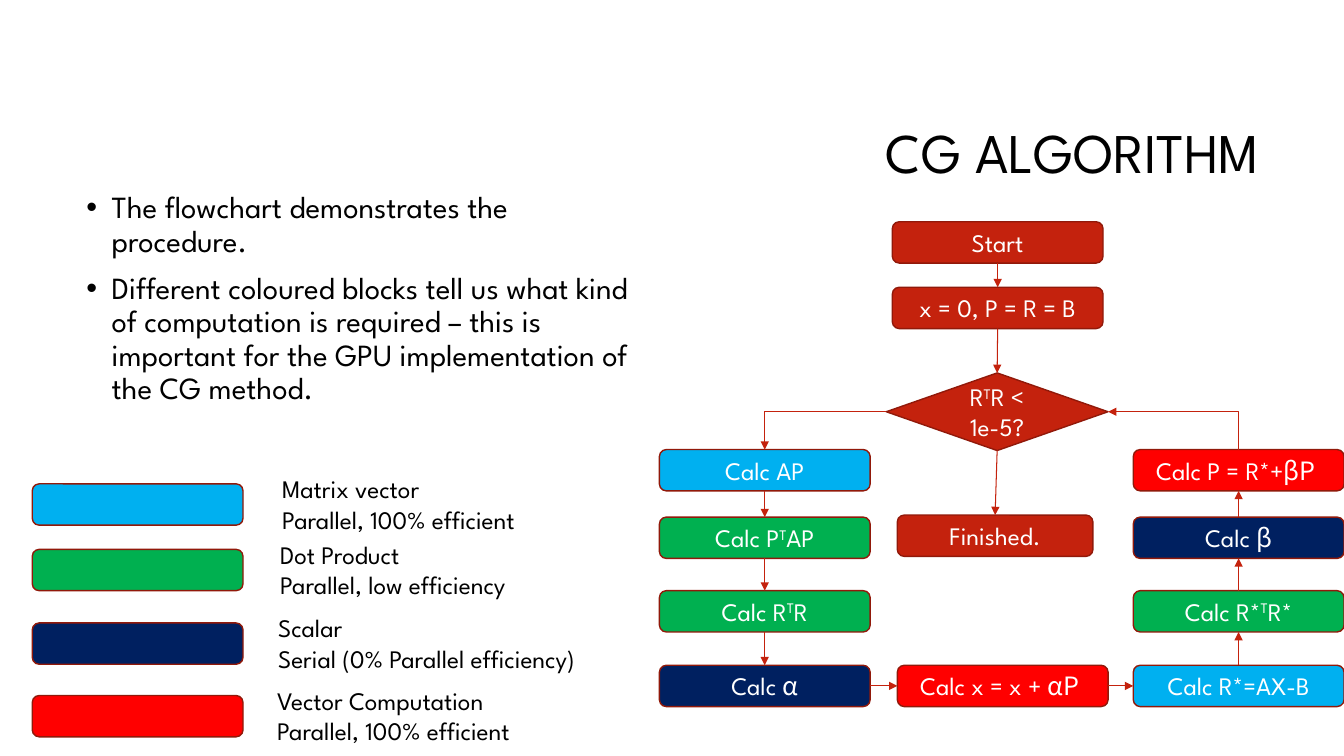
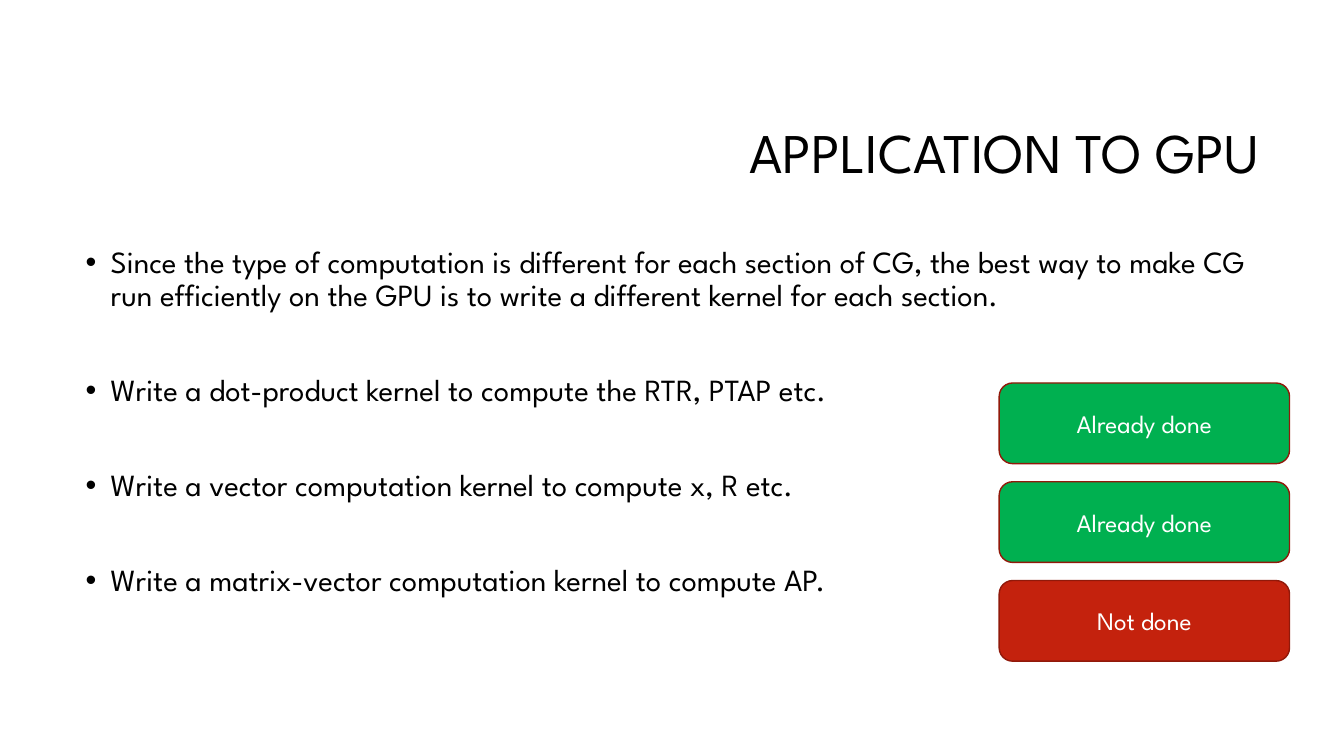
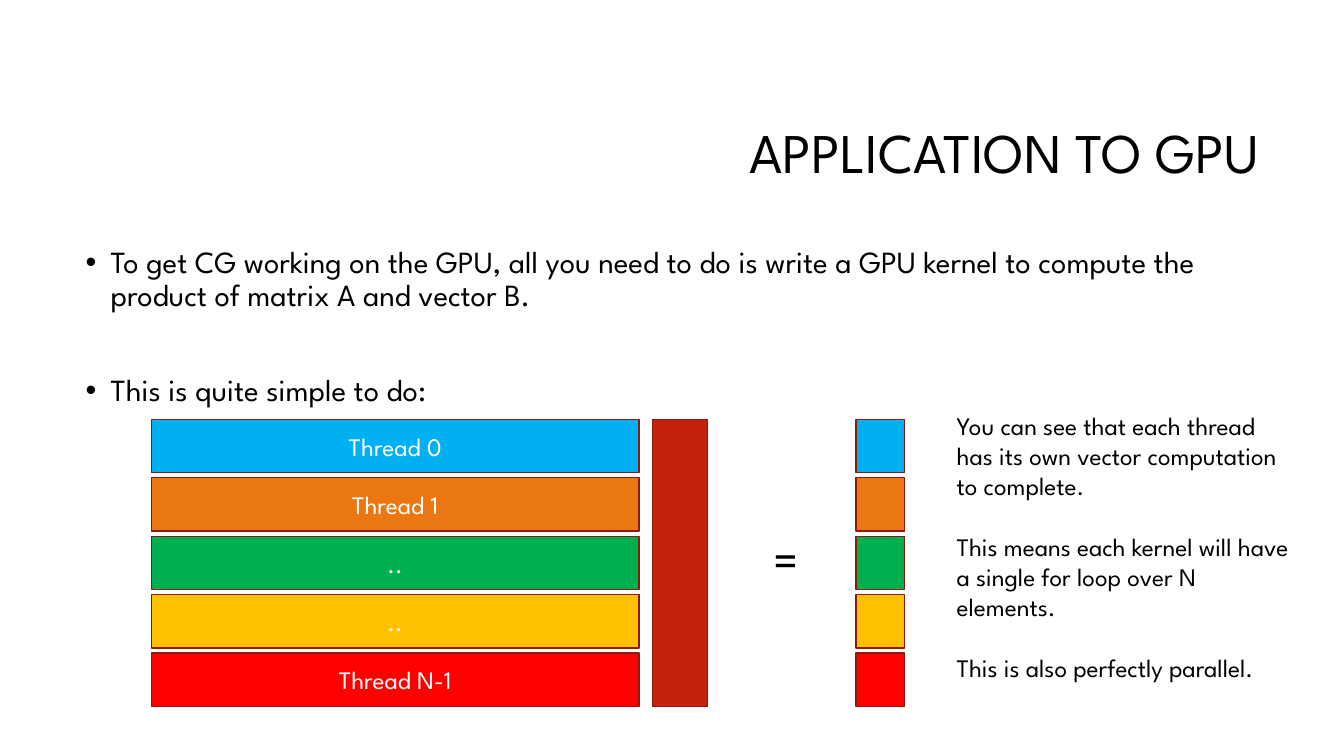
from dataclasses import dataclass, field
from typing import NamedTuple

from lxml import etree
from pptx import Presentation
from pptx.dml.color import RGBColor
from pptx.enum.shapes import MSO_CONNECTOR, MSO_SHAPE
from pptx.enum.text import MSO_ANCHOR, MSO_AUTO_SIZE, PP_ALIGN
from pptx.oxml.ns import qn
from pptx.util import Inches, Pt

ROUNDED, RECT, DIAMOND = MSO_SHAPE.ROUNDED_RECTANGLE, MSO_SHAPE.RECTANGLE, MSO_SHAPE.DIAMOND
STRAIGHT, ELBOW = MSO_CONNECTOR.STRAIGHT, MSO_CONNECTOR.ELBOW
LEFT, CENTER, RIGHT = PP_ALIGN.LEFT, PP_ALIGN.CENTER, PP_ALIGN.RIGHT
TOP, MIDDLE = MSO_ANCHOR.TOP, MSO_ANCHOR.MIDDLE
SITE_TOP, SITE_LEFT, SITE_BOTTOM, SITE_RIGHT = range(4)
BLANK_LAYOUT = 6


@dataclass(frozen=True)
class Theme:
    font: str = "League Spartan"
    greek_font: str = "Noto Sans CJK KR"
    ink: str = "000000"
    paper: str = "FFFFFF"
    accent: str = "C4220D"
    outline: str = "91190A"
    blue: str = "00B0F0"
    green: str = "00B050"
    navy: str = "002060"
    red: str = "FF0000"
    orange: str = "EB7712"
    yellow: str = "FFC000"
    title_size: float = 40
    symbol_size: float = 36
    body_size: float = 22
    label_size: float = 18
    outline_width: float = 1
    arrow_width: float = 0.75
    tight: float = 0.9
    bullet_gap: float = 10
    wide_bullet_gap: float = 44
    note_gap: float = 21.6


THEME = Theme()
CELL = Inches(1)
COLUMNS, ROWS = 13.33, 7.5


class Box(NamedTuple):
    col: float
    row: float
    cols: float
    rows: float

    def emu(self) -> list[int]:
        return [round(length * CELL) for length in self]


class Span(NamedTuple):
    text: str
    font: str = THEME.font
    raised: bool = False


class Style(NamedTuple):
    size: float
    color: str = THEME.ink
    align: int = LEFT
    spacing: float = 1
    gap: float = 0
    first_gap: float = 0
    bullet: bool = False


@dataclass(frozen=True)
class Block:
    box: Box
    fill: str
    spans: list[Span] = field(default_factory=list)
    outline: int = ROUNDED


class Arrow(NamedTuple):
    start: str
    start_site: int
    end: str
    end_site: int
    bent: bool = False
    reverse: bool = False


class LegendEntry(NamedTuple):
    row: float
    label_col: float
    fill: str
    lines: list[str]


TITLE = Style(THEME.title_size, align=RIGHT, spacing=THEME.tight)
BULLETS = Style(THEME.body_size, spacing=THEME.tight, gap=THEME.bullet_gap,
                first_gap=THEME.bullet_gap, bullet=True)
WIDE_BULLETS = BULLETS._replace(gap=THEME.wide_bullet_gap)
BLOCK_LABEL = Style(THEME.label_size, THEME.paper, CENTER)
LABEL = Style(THEME.label_size)
NOTE = LABEL._replace(gap=THEME.note_gap)
SYMBOL = Style(THEME.symbol_size)

TITLE_BOX = Box(3.17, 0.84, 9.42, 1.41)
BODY_BOX = Box(0.75, 2.4, 11.83, 4.4)
STEP_COLS, STEP_ROWS = 2.09, 0.41
LEFT_COL, MIDDLE_COL, RIGHT_COL = 6.54, 8.85, 11.24
LOOP_ROWS = (4.46, 5.13, 5.86, 6.6)


def plain(text: str) -> list[Span]:
    return [Span(text)]


def with_power(before: str, after: str) -> list[Span]:
    return [Span(before), Span("T", raised=True), Span(after)]


def with_greek(before: str, greek: str) -> list[Span]:
    return [Span(before), Span(greek, THEME.greek_font)]


def step(col: float, row: float, fill: str, spans: list[Span]) -> Block:
    return Block(Box(col, row, STEP_COLS, STEP_ROWS), fill, spans)


def rgb(color: str) -> RGBColor:
    return RGBColor.from_string(color)


def write(frame, paragraphs: list[list[Span]], style: Style) -> None:
    for index, spans in enumerate(paragraphs):
        paragraph = frame.add_paragraph() if index else frame.paragraphs[0]
        paragraph.alignment = style.align
        paragraph.line_spacing = style.spacing
        paragraph.space_before = Pt(style.gap if index else style.first_gap)
        if style.bullet:
            properties = paragraph._p.get_or_add_pPr()
            properties.set("marL", str(Inches(0.25)))
            properties.set("indent", str(-Inches(0.25)))
            etree.SubElement(properties, qn("a:buFont")).set("typeface", "Arial")
            etree.SubElement(properties, qn("a:buChar")).set("char", "•")
        for span in spans:
            run = paragraph.add_run()
            run.text = span.text
            run.font.name = span.font
            run.font.size = Pt(style.size)
            run.font.color.rgb = rgb(style.color)
            if span.raised:
                run._r.get_or_add_rPr().set("baseline", "30000")


def add_text(slide, box: Box, lines: list[str], style: Style,
             anchor: int = TOP, grow: bool = False) -> None:
    frame = slide.shapes.add_textbox(*box.emu()).text_frame
    frame.word_wrap = True
    frame.vertical_anchor = anchor
    if grow:
        frame.auto_size = MSO_AUTO_SIZE.SHAPE_TO_FIT_TEXT
    write(frame, [plain(line) for line in lines], style)


def add_block(slide, block: Block):
    shape = slide.shapes.add_shape(block.outline, *block.box.emu())
    shape.shadow.inherit = False
    shape.fill.solid()
    shape.fill.fore_color.rgb = rgb(block.fill)
    shape.line.color.rgb = rgb(THEME.outline)
    shape.line.width = Pt(THEME.outline_width)
    if block.spans:
        shape.text_frame.vertical_anchor = MIDDLE
        write(shape.text_frame, [block.spans], BLOCK_LABEL)
    return shape


def add_arrow(slide, arrow: Arrow, steps: dict) -> None:
    connector = slide.shapes.add_connector(ELBOW if arrow.bent else STRAIGHT, 0, 0, 0, 0)
    connector.begin_connect(steps[arrow.start], arrow.start_site)
    connector.end_connect(steps[arrow.end], arrow.end_site)
    connector.line.color.rgb = rgb(THEME.accent)
    connector.line.width = Pt(THEME.arrow_width)
    properties = connector._element.spPr
    if arrow.bent:
        properties.find(qn("a:prstGeom")).set("prst", "bentConnector2")
    tip = "a:headEnd" if arrow.reverse else "a:tailEnd"
    etree.SubElement(properties.find(qn("a:ln")), qn(tip)).set("type", "triangle")
    etree.SubElement(properties, qn("a:effectLst"))


def add_slide(deck, title: str, bullets: list[str], box: Box = BODY_BOX,
              style: Style = WIDE_BULLETS):
    slide = deck.slides.add_slide(deck.slide_layouts[BLANK_LAYOUT])
    slide.background.fill.solid()
    slide.background.fill.fore_color.rgb = rgb(THEME.paper)
    add_text(slide, TITLE_BOX, [title], TITLE, MIDDLE)
    add_text(slide, box, bullets, style)
    return slide


def build_algorithm(deck) -> None:
    slide = add_slide(deck, "CG ALGORITHM", [
        "The flowchart demonstrates the procedure.",
        "Different coloured blocks tell us what kind of computation is required – this is "
        "important for the GPU implementation of the CG method.",
    ], Box(0.76, 1.86, 5.7, 4.44), BULLETS)

    first, second, third, last = LOOP_ROWS
    blocks = {
        "start": step(MIDDLE_COL, 2.2, THEME.accent, plain("Start")),
        "setup": step(MIDDLE_COL, 2.85, THEME.accent, plain("x = 0, P = R = B")),
        "test": Block(Box(8.79, 3.7, 2.2, 0.77), THEME.accent,
                      with_power("R", "R < 1e-5?"), DIAMOND),
        "ap": step(LEFT_COL, first, THEME.blue, plain("Calc AP")),
        "ptap": step(LEFT_COL, second, THEME.green, with_power("Calc P", "AP")),
        "rtr": step(LEFT_COL, third, THEME.green, with_power("Calc R", "R")),
        "alpha": step(LEFT_COL, last, THEME.navy, with_greek("Calc ", "α")),
        "x": step(8.9, last, THEME.red, with_greek("Calc x = x + ", "αP ")),
        "residual": step(RIGHT_COL, last, THEME.blue, plain("Calc R*=AX-B")),
        "new_rtr": step(RIGHT_COL, third, THEME.green, with_power("Calc R*", "R*")),
        "beta": step(RIGHT_COL, second, THEME.navy, with_greek("Calc ", "β")),
        "p": step(RIGHT_COL, first, THEME.red, with_greek("Calc P = R*+", "βP ")),
        "finish": Block(Box(8.9, 5.11, 1.94, STEP_ROWS), THEME.accent, plain("Finished.")),
    }
    steps = {key: add_block(slide, block) for key, block in blocks.items()}

    down = [("start", "setup"), ("setup", "test"), ("test", "finish"),
            ("ap", "ptap"), ("ptap", "rtr"), ("rtr", "alpha")]
    across = [("alpha", "x"), ("x", "residual")]
    up = [("residual", "new_rtr"), ("new_rtr", "beta"), ("beta", "p")]
    arrows = [Arrow("test", SITE_LEFT, "ap", SITE_TOP, bent=True),
              Arrow("test", SITE_RIGHT, "p", SITE_TOP, bent=True, reverse=True)]
    for pairs, leave, enter in ((down, SITE_BOTTOM, SITE_TOP),
                                (across, SITE_RIGHT, SITE_LEFT),
                                (up, SITE_TOP, SITE_BOTTOM)):
        arrows += [Arrow(start, leave, end, enter) for start, end in pairs]
    for arrow in arrows:
        add_arrow(slide, arrow, steps)

    legend = [
        LegendEntry(4.8, 2.7, THEME.blue, ["Matrix vector", "Parallel, 100% efficient"]),
        LegendEntry(5.45, 2.68, THEME.green, ["Dot Product", "Parallel, low efficiency"]),
        LegendEntry(6.18, 2.66, THEME.navy, ["Scalar", "Serial (0% Parallel efficiency)"]),
        LegendEntry(6.9, 2.65, THEME.red, ["Vector Computation", "Parallel, 100% efficient"]),
    ]
    for entry in legend:
        add_block(slide, step(0.32, entry.row, entry.fill, []))
        add_text(slide, Box(entry.label_col, entry.row - 0.15, 3.8, 0.71),
                 entry.lines, LABEL, grow=True)


def build_kernels(deck) -> None:
    slide = add_slide(deck, "APPLICATION TO GPU", [
        "Since the type of computation is different for each section of CG, the best way to "
        "make CG run efficiently on the GPU is to write a different kernel for each section.",
        "Write a dot-product kernel to compute the RTR, PTAP etc.",
        "Write a vector computation kernel to compute x, R etc.",
        "Write a matrix-vector computation kernel to compute AP.",
    ])
    statuses = [("Already done", THEME.green), ("Already done", THEME.green),
                ("Not done", THEME.accent)]
    for index, (status, fill) in enumerate(statuses):
        add_block(slide, Block(Box(9.91, 3.8 + 0.98 * index, 2.88, 0.8), fill, plain(status)))


def build_threads(deck) -> None:
    slide = add_slide(deck, "APPLICATION TO GPU", [
        "To get CG working on the GPU, all you need to do is write a GPU kernel to compute "
        "the product of matrix A and vector B.",
        "This is quite simple to do:",
    ])
    top, pitch, height = 4.16, 0.58, 0.53
    threads = [("Thread 0", THEME.blue), ("Thread 1", THEME.orange), ("..", THEME.green),
               ("..", THEME.yellow), ("Thread N-1", THEME.red)]
    for index, (thread, fill) in enumerate(threads):
        row = top + pitch * index
        add_block(slide, Block(Box(1.5, row, 4.84, height), fill, plain(thread), RECT))
        add_block(slide, Block(Box(8.49, row, 0.48, height), fill, outline=RECT))
    vector_rows = pitch * (len(threads) - 1) + height
    add_block(slide, Block(Box(6.47, top, 0.55, vector_rows), THEME.accent, outline=RECT))
    add_text(slide, Box(7.57, 5.19, 0.81, 0.71), ["="], SYMBOL, grow=True)
    add_text(slide, Box(9.39, 4.02, 3.53, 3.13), [
        "You can see that each thread has its own vector computation to complete.",
        "This means each kernel will have a single for loop over N elements.",
        "This is also perfectly parallel.",
    ], NOTE, grow=True)


def main() -> None:
    deck = Presentation()
    deck.slide_width = round(COLUMNS * CELL)
    deck.slide_height = round(ROWS * CELL)
    build_algorithm(deck)
    build_kernels(deck)
    build_threads(deck)
    deck.save("out.pptx")


if __name__ == "__main__":
    main()
